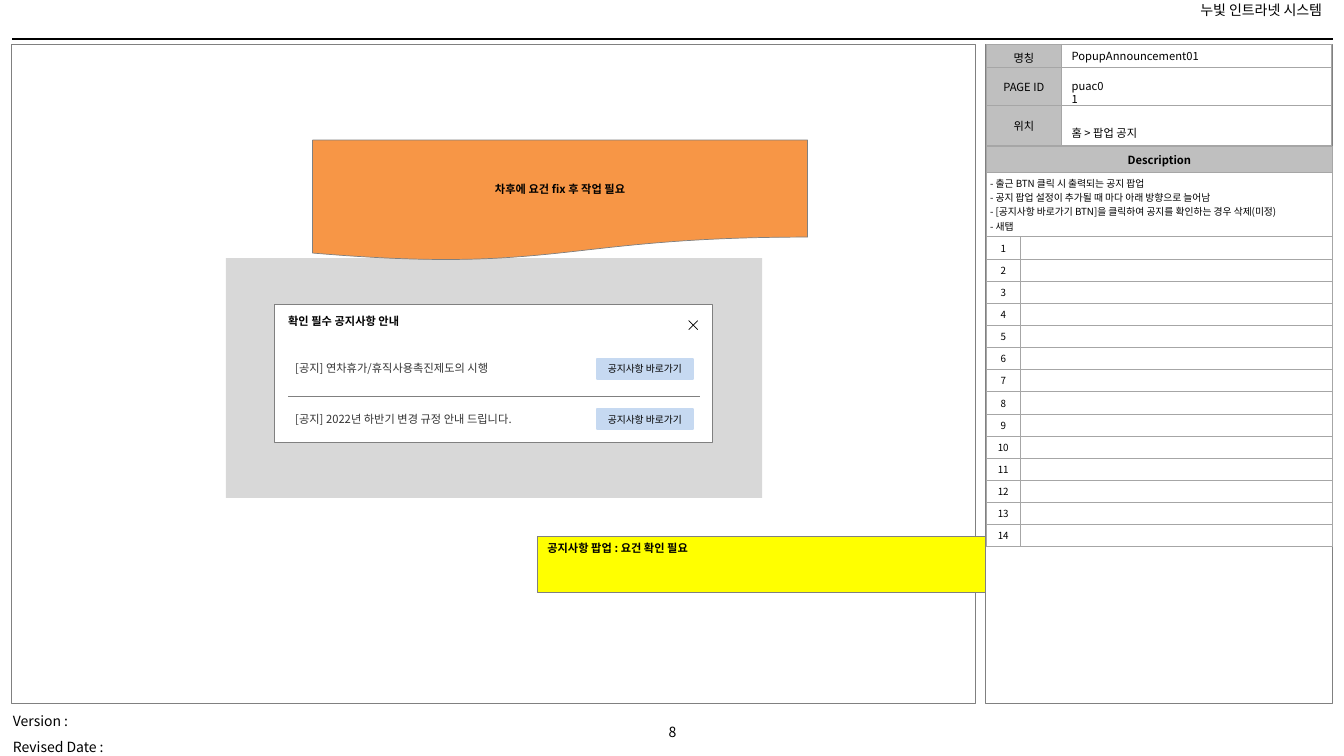
import collections
import dataclasses

import lxml.etree
import pptx
import pptx.dml.color
import pptx.enum.shapes
import pptx.enum.text
import pptx.oxml.ns
import pptx.util

PX = 9144  # EMU in one px: 100 px to the inch
Box = collections.namedtuple("Box", "left top width height")
SHAPE = pptx.enum.shapes.MSO_SHAPE
ALIGN = pptx.enum.text.PP_ALIGN
ANCHOR = pptx.enum.text.MSO_ANCHOR
qn = pptx.oxml.ns.qn


@dataclasses.dataclass(frozen=True)
class Theme:
    font: str = "Noto Sans CJK KR"
    ink: str = "000000"
    notice: str = "333333"
    frame: str = "808080"
    paper: str = "FFFFFF"
    heading: str = "BFBFBF"
    grid: str = "A6A6A6"
    button: str = "C6D9F1"
    memo: str = "FFFF00"
    warning: str = "F79646"
    page_size: int = 10
    body_size: int = 8
    small_size: int = 7
    hairline: float = 0.25
    thin: float = 0.5
    grid_line: float = 0.75
    thick: float = 1.5


THEME = Theme()


def rgb(color):
    return pptx.dml.color.RGBColor.from_string(color)


def inside(box, left, top, width, height):
    return Box(box.left + left, box.top + top, width, height)


def emu(box):
    return [length * PX for length in box]


def write(frame, lines, size=THEME.body_size, color=THEME.ink, bold=False,
          align=ALIGN.LEFT, spacing=None):
    for index, line in enumerate(lines):
        paragraph = frame.add_paragraph() if index else frame.paragraphs[0]
        paragraph.alignment = align
        paragraph.line_spacing = spacing
        run = paragraph.add_run()
        run.text = line
        run.font.size = pptx.util.Pt(size)
        run.font.bold = bold
        run.font.name = THEME.font
        run.font.color.rgb = rgb(color)
        # Hangul takes its typeface from the East Asian slot
        lxml.etree.SubElement(run.font._element, qn("a:ea"), typeface=THEME.font)


def add_label(shapes, box, lines, anchor=ANCHOR.TOP, **style):
    frame = shapes.add_textbox(*emu(box)).text_frame
    frame.word_wrap = True
    frame.vertical_anchor = anchor
    write(frame, lines, **style)


def add_block(shapes, box, fill=None, line=None, weight=THEME.thin, kind=SHAPE.RECTANGLE):
    block = shapes.add_shape(kind, *emu(box))
    block.shadow.inherit = False
    if fill:
        block.fill.solid()
        block.fill.fore_color.rgb = rgb(fill)
    else:
        block.fill.background()
    if line:
        block.line.color.rgb = rgb(line)
        block.line.width = pptx.util.Pt(weight)
    else:
        block.line.fill.background()
    return block


def add_rule(shapes, left, top, width, color, weight):
    rule = shapes.add_connector(pptx.enum.shapes.MSO_CONNECTOR.STRAIGHT,
                                left * PX, top * PX, (left + width) * PX, top * PX)
    rule.line.color.rgb = rgb(color)
    rule.line.width = pptx.util.Pt(weight)
    lxml.etree.SubElement(rule._element.spPr, qn("a:effectLst"))


def add_grid(shapes, box, columns, rows):
    table_frame = shapes.add_table(len(rows), len(columns), *emu(box))
    table = table_frame.table
    table.first_row = table.horz_banding = False
    for column, width in zip(table.columns, columns):
        column.width = width * PX
    for row, height in zip(table.rows, rows):
        row.height = height * PX
    return table


def fill_cell(cell, lines=(), fill=THEME.paper, margin=4, **style):
    cell.margin_left = cell.margin_right = 4 * PX
    cell.margin_top = cell.margin_bottom = margin * PX
    cell.vertical_anchor = ANCHOR.MIDDLE
    properties = cell._tc.get_or_add_tcPr()
    for side in ("a:lnL", "a:lnR", "a:lnT", "a:lnB"):
        border = lxml.etree.SubElement(properties, qn(side),
                                       w=str(pptx.util.Pt(THEME.grid_line)))
        paint = lxml.etree.SubElement(border, qn("a:solidFill"))
        lxml.etree.SubElement(paint, qn("a:srgbClr"), val=THEME.grid)
    cell.fill.solid()
    cell.fill.fore_color.rgb = rgb(fill)
    if lines:
        write(cell.text_frame, lines, **style)
    else:
        # keeps an empty cell from growing to the default type size
        lxml.etree.SubElement(cell.text_frame.paragraphs[0]._p, qn("a:endParaRPr"),
                              sz=str(THEME.small_size * 100))


def draw_page(shapes, box):
    """Header rule, system name, version block and page number."""
    add_rule(shapes, box.left + 12, box.top + 39, 1310, THEME.ink, THEME.thick)
    add_label(shapes, inside(box, 633, 713, 68, 27), ["8"],
              size=THEME.page_size, align=ALIGN.CENTER)
    add_label(shapes, inside(box, 3, 694, 120, 57), ["Version :", "Revised Date :"],
              size=THEME.page_size, spacing=1.5)
    add_label(shapes, inside(box, 856, -3, 465, 27), ["누빛 인트라넷 시스템"],
              size=THEME.page_size, align=ALIGN.RIGHT)


def draw_identity(shapes, box):
    """Name, page ID and location of the screen."""
    identity = add_grid(shapes, box, [75, 268], [23, 37, 40])
    for row, heading in enumerate(["명칭", "PAGE ID", "위치"]):
        fill_cell(identity.cell(row, 0), [heading], THEME.heading, 5, align=ALIGN.CENTER)
        fill_cell(identity.cell(row, 1))
    entries = [("PopupAnnouncement01", 0, 191), ("puac01", 36, 57), ("홈 > 팝업 공지", 76, 261)]
    for entry, top, width in entries:
        add_label(shapes, inside(box, 75, top, width, 24), [entry], ANCHOR.MIDDLE)


def draw_description(shapes, box):
    numbers = range(1, 15)
    description = add_grid(shapes, box, [34, 310], [26, 64] + [22] * len(numbers))
    for row in range(2):
        description.cell(row, 0).merge(description.cell(row, 1))
    fill_cell(description.cell(0, 0), ["Description"], THEME.heading, 5,
              bold=True, align=ALIGN.CENTER)
    fill_cell(description.cell(1, 0), [
        "- 출근 BTN 클릭 시 출력되는 공지 팝업",
        "- 공지 팝업 설정이 추가될 때 마다 아래 방향으로 늘어남",
        "- [공지사항 바로가기 BTN]을 클릭하여 공지를 확인하는 경우 삭제(미정)",
        "- 새탭",
    ], size=THEME.small_size)
    for number in numbers:
        fill_cell(description.cell(number + 1, 0), [str(number)],
                  size=THEME.small_size, align=ALIGN.CENTER)
        fill_cell(description.cell(number + 1, 1))


def draw_panel(shapes, box):
    add_block(shapes, box, line=THEME.frame, weight=THEME.hairline)
    draw_identity(shapes, inside(box, 1, 0, 343, 100))
    draw_description(shapes, inside(box, 1, 101, 344, 398))


def draw_popup(shapes, box):
    popup = shapes.add_group_shape().shapes
    add_block(popup, box, THEME.paper, THEME.frame)
    add_label(popup, inside(box, 4, 5, 193, 24), ["확인 필수 공지사항 안내"], bold=True)

    left, top, size = box.left + 411, box.top + 16, 9
    cross = popup.build_freeform(left + size, top, scale=PX)
    cross.add_line_segments([(left, top + size)], close=False)
    cross.move_to(left, top)
    cross.add_line_segments([(left + size, top + size)], close=False)
    close_icon = cross.convert_to_shape()
    close_icon.shadow.inherit = False
    close_icon.fill.background()
    close_icon.line.color.rgb = rgb(THEME.ink)
    close_icon.line.width = pptx.util.Pt(THEME.thin)

    add_rule(popup, box.left + 14, box.top + 91, 408, THEME.frame, THEME.thin)
    notices = ["[공지] 연차휴가/휴직사용촉진제도의 시행", "[공지] 2022년 하반기 변경 규정 안내 드립니다."]
    for index, notice in enumerate(notices):
        line = inside(box, 0, 52 + 50 * index, box.width, 24)
        add_label(popup, inside(line, 11, 0, 263, 24), [notice], color=THEME.notice)
        button = add_block(popup, inside(line, 320, 2, 95, 20),
                           THEME.button, THEME.button, THEME.thick)
        button.text_frame.word_wrap = False
        button.text_frame.vertical_anchor = ANCHOR.MIDDLE
        write(button.text_frame, ["공지사항 바로가기"], THEME.small_size, align=ALIGN.CENTER)


def draw_screen(shapes, box):
    """Wireframe of the popup over its dimmed backdrop, with review notes."""
    add_block(shapes, box, line=THEME.frame, weight=THEME.hairline)
    backdrop = add_block(shapes, inside(box, 213, 212, 532, 238), THEME.frame)
    tint = backdrop._element.spPr.find(qn("a:solidFill"))[0]
    lxml.etree.SubElement(tint, qn("a:alpha"), val="30000")
    draw_popup(shapes, inside(box, 261, 258, 435, 137))

    memo = add_block(shapes, inside(box, 522, 488, 444, 56), THEME.memo, THEME.frame)
    memo.text_frame.vertical_anchor = ANCHOR.TOP
    write(memo.text_frame, ["공지사항 팝업 : 요건 확인 필요"], bold=True)

    warning = add_block(shapes, inside(box, 299, 95, 491, 120), THEME.warning, THEME.frame,
                        kind=SHAPE.FLOWCHART_DOCUMENT)
    warning.text_frame.vertical_anchor = ANCHOR.MIDDLE
    write(warning.text_frame, ["차후에 요건 fix 후 작업 필요"], bold=True, align=ALIGN.CENTER)


def main():
    deck = pptx.Presentation()
    page = Box(0, 0, 1333, 750)
    deck.slide_width, deck.slide_height = page.width * PX, page.height * PX
    shapes = deck.slides.add_slide(deck.slide_layouts[6]).shapes
    draw_page(shapes, page)
    draw_panel(shapes, inside(page, 977, 44, 344, 654))
    draw_screen(shapes, inside(page, 11, 44, 956, 654))
    deck.save("out.pptx")


if __name__ == "__main__":
    main()
